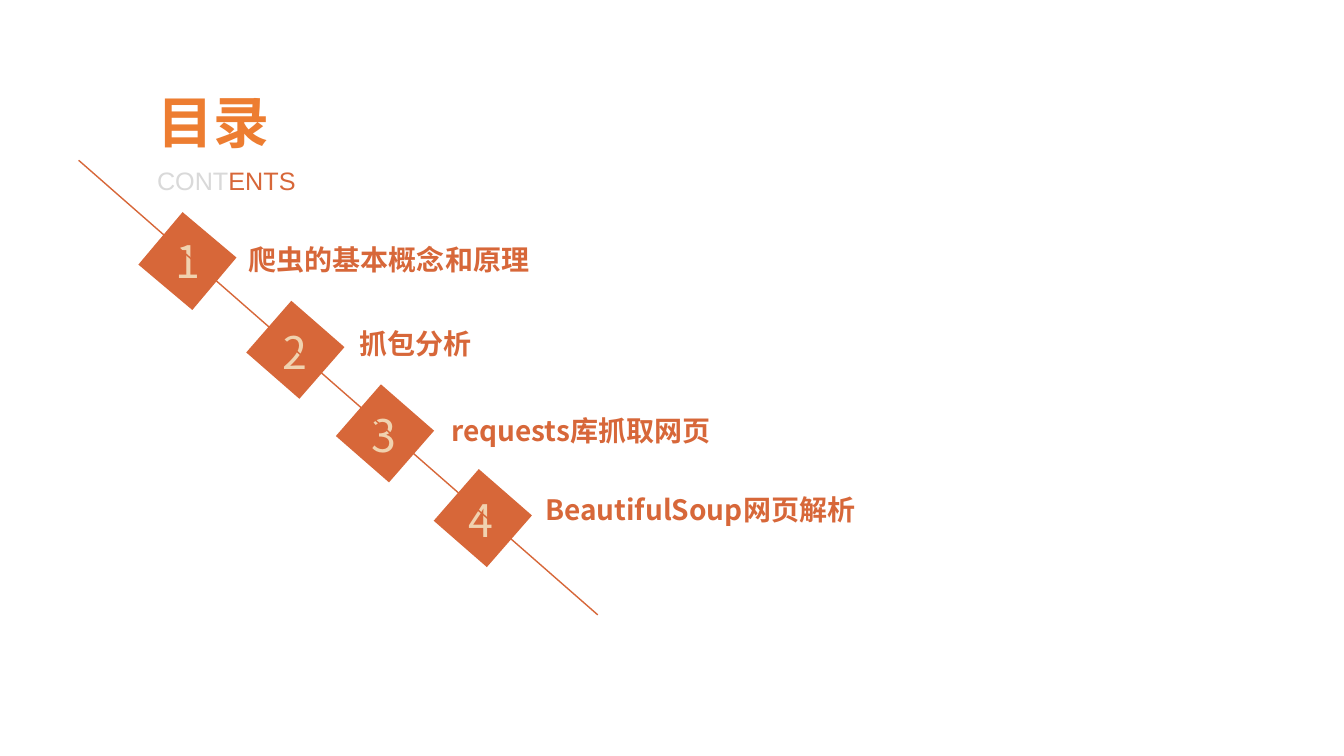
from pptx import Presentation
from pptx.dml.color import RGBColor
from pptx.enum import shapes, text
from pptx.oxml import ns
from pptx.util import Pt
from lxml import etree

RUST, ORANGE, SAND, GREY = "D76739", "ED7D31", "F0D2AF", "D9D9D9"
HAN, LATIN = "Noto Sans CJK SC", "Arial"
DIAMOND_WIDTH, DIAMOND_HEIGHT = 50.4, 49


def paint(target, color):
    target.rgb = RGBColor.from_string(color)


def add_text(parent, box, spans, size, face, bold=False, align=text.PP_ALIGN.LEFT):
    frame = parent.add_textbox(*map(Pt, box)).text_frame
    frame.word_wrap = True
    frame.auto_size = text.MSO_AUTO_SIZE.SHAPE_TO_FIT_TEXT
    para = frame.paragraphs[0]
    para.alignment = align
    for words, color in spans:
        span = para.add_run()
        span.text = words
        span.font.size = Pt(size)
        span.font.name = face
        span.font.bold = bold
        paint(span.font.color, color)
        east_asian = etree.SubElement(span.font._element, ns.qn("a:ea"))
        east_asian.set("typeface", face)


def add_heading(page, left, top):
    add_text(page.shapes, (left, top, 214.6, 55.4), [("目录", ORANGE)], 40, HAN, True)
    add_text(page.shapes, (left, top + 55.4, 198.7, 28.8),
             [("CONT", GREY), ("ENTS", RUST)], 18, LATIN, align=text.PP_ALIGN.JUSTIFY)


def add_entry(page, number, left, top, angle, number_shift, label_shift, label_width, label):
    parts = page.shapes.add_group_shape().shapes
    diamond = parts.add_shape(shapes.MSO_SHAPE.RECTANGLE, Pt(left), Pt(top),
                              Pt(DIAMOND_WIDTH), Pt(DIAMOND_HEIGHT))
    diamond.rotation = angle
    diamond.shadow.inherit = False
    diamond.fill.solid()
    paint(diamond.fill.fore_color, RUST)
    diamond.line.fill.background()
    across, down = number_shift
    add_text(parts, (left + across, top + down, 46.8, 46.1), [(str(number), SAND)],
             32, HAN, align=text.PP_ALIGN.CENTER)
    across, down = label_shift
    add_text(parts, (left + across, top + down, label_width, 31), [(label, RUST)], 20, HAN, True)


def add_diagonal(page, left, top, width, height):
    diagonal = page.shapes.add_connector(shapes.MSO_CONNECTOR.STRAIGHT, Pt(left + width),
                                         Pt(top + height), Pt(left), Pt(top))
    paint(diagonal.line.color, RUST)
    diagonal.line.width = Pt(1)
    etree.SubElement(diagonal._element.spPr, ns.qn("a:effectLst"))


ENTRIES = [
    (108.7, 162, 40.1, (2.2, 1.4), (61.9, 7.9), 223.9, "爬虫的基本概念和原理"),
    (185.8, 225.4, 41.1, (1.4, 2.9), (64.1, 4.3), 275, "抓包分析"),
    (249.8, 285.1, 41.1, (0.7, 2.9), (65.5, 6.5), 275, "requests库抓取网页"),
    (319.7, 345.6, 41.1, (0.7, 2.9), (62.6, 2.9), 275, "BeautifulSoup网页解析"),
]

deck = Presentation()
deck.slide_width, deck.slide_height = Pt(960), Pt(540)
page = deck.slides.add_slide(deck.slide_layouts[6])
add_heading(page, 105.1, 59)
for number, entry in enumerate(ENTRIES, 1):
    add_entry(page, number, *entry)
add_diagonal(page, 56.2, 114.5, 370.8, 324.7)
deck.save("out.pptx")
